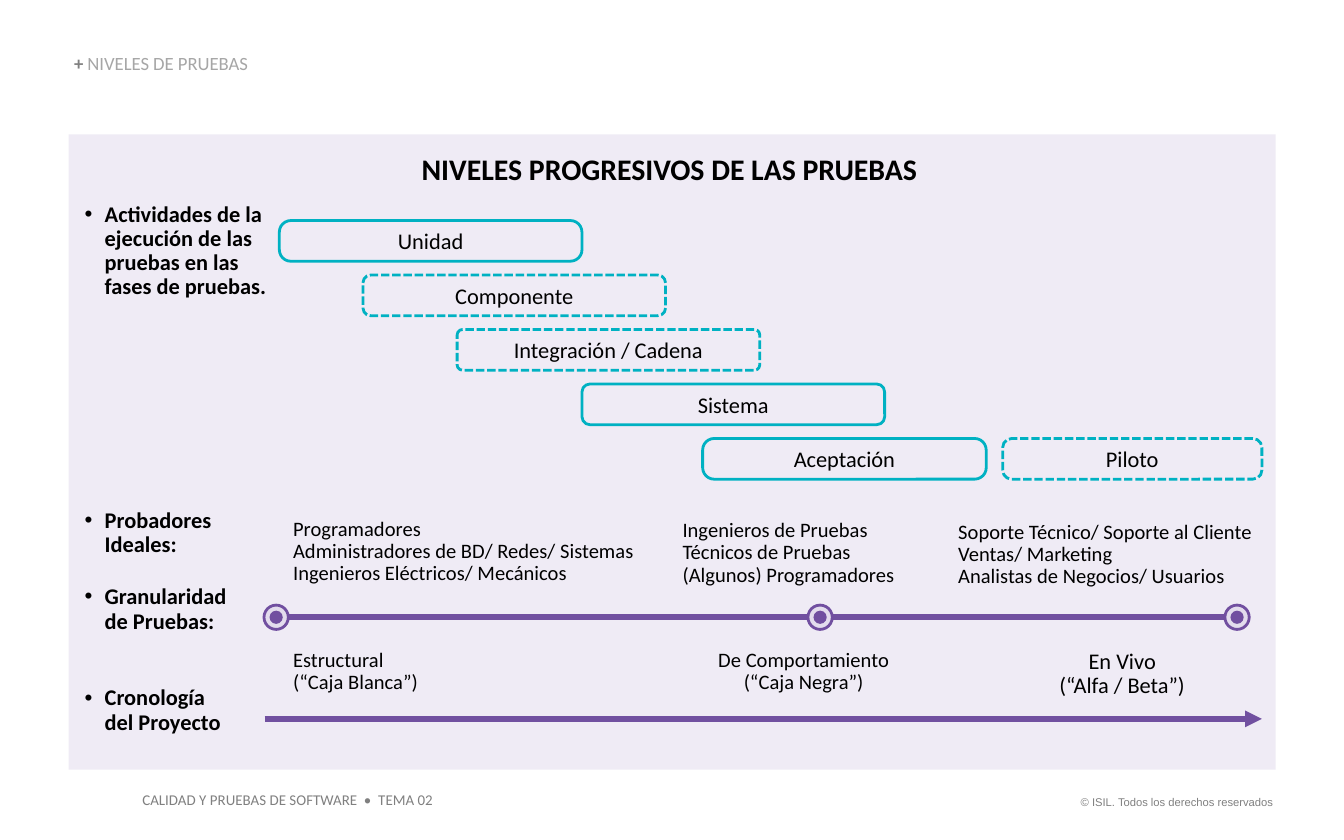
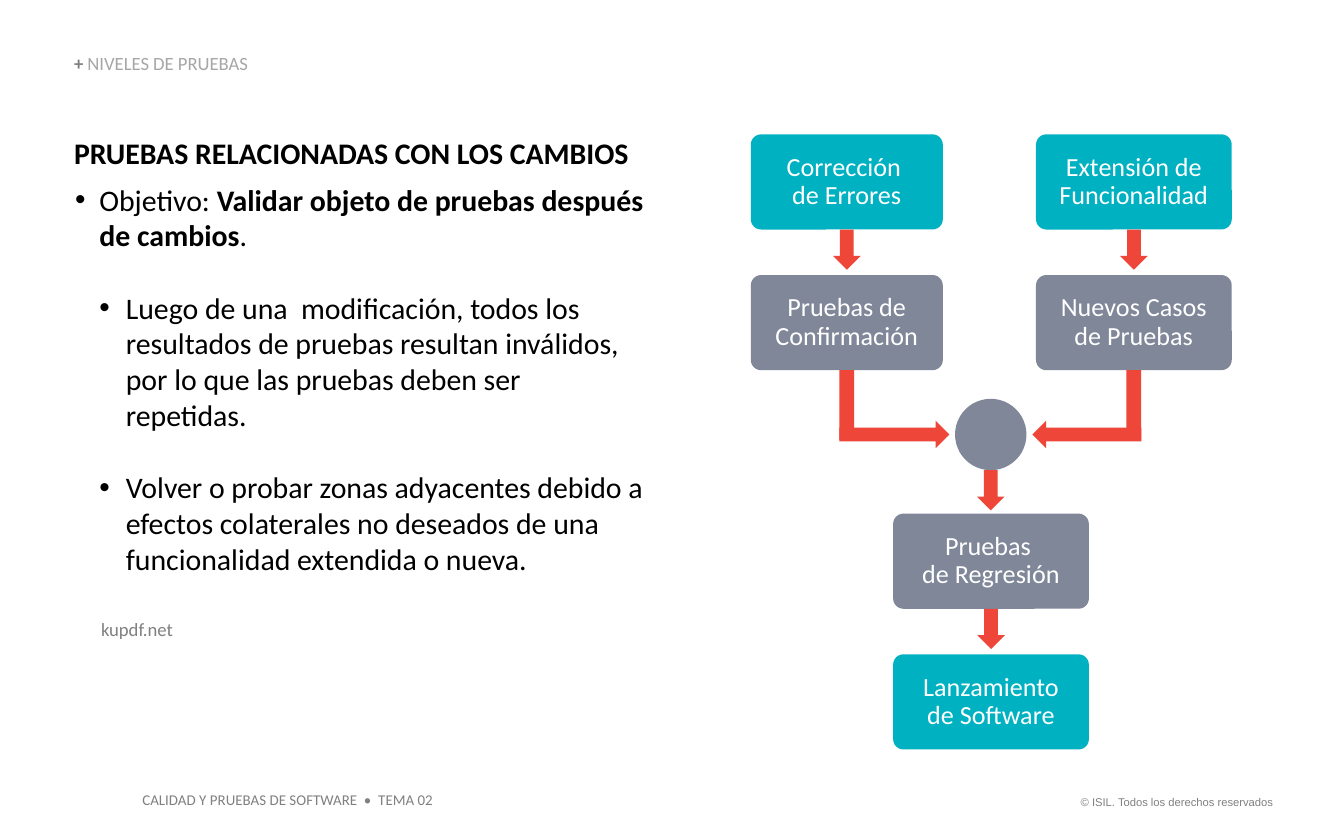
from dataclasses import dataclass, replace
from typing import NamedTuple, Optional

from lxml.etree import SubElement
from pptx import Presentation
from pptx.dml.color import RGBColor
from pptx.enum.dml import MSO_LINE_DASH_STYLE as Dash
from pptx.enum.shapes import MSO_CONNECTOR, MSO_SHAPE as Shp
from pptx.enum.text import MSO_ANCHOR as Anchor, MSO_AUTO_SIZE as Auto, PP_ALIGN as Align
from pptx.oxml.ns import qn
from pptx.util import Cm, Pt

BLACK = RGBColor(0x00, 0x00, 0x00)
WHITE = RGBColor(0xFF, 0xFF, 0xFF)
GRAY = RGBColor(0x80, 0x80, 0x80)
LIGHT_GRAY = RGBColor(0xA6, 0xA6, 0xA6)
LILAC = RGBColor(0xE3, 0xDC, 0xED)
PURPLE = RGBColor(0x71, 0x50, 0xA0)
MARKER_PURPLE = RGBColor(0x71, 0x4F, 0xA0)
TEAL = RGBColor(0x00, 0xB1, 0xC2)
SLATE = RGBColor(0x80, 0x87, 0x99)
RED = RGBColor(0xEE, 0x46, 0x39)


class Box(NamedTuple):
    x: float
    y: float
    w: float
    h: float

    @property
    def mid(self) -> float:
        return self.x + self.w / 2

    @property
    def bottom(self) -> float:
        return self.y + self.h


class Run(NamedTuple):
    text: str
    bold: Optional[bool] = None
    color: Optional[RGBColor] = None


class Bullet(NamedTuple):
    margin: float
    hanging: float


@dataclass(frozen=True)
class Style:
    size: float
    color: RGBColor = BLACK
    bold: bool = False
    align: Align = Align.LEFT
    spacing: Optional[float] = None
    font: str = "Calibri"


class Para(NamedTuple):
    runs: tuple[Run, ...]
    bullet: Optional[Bullet] = None
    before: float = 0
    after: float = 0
    level: int = 0


class Label(NamedTuple):
    box: Box
    lines: tuple[str, ...]
    style: Style
    bullet: Optional[Bullet] = None


class Phase(NamedTuple):
    name: str
    x: float
    w: float
    row: int
    radius: float
    dashed: bool


class Node(NamedTuple):
    box: Box
    lines: tuple[str, ...]
    fill: RGBColor


TITLE = Style(16, bold=True)
BODY = Style(16)
SIDE = Style(12, bold=True, spacing=0.9)
NOTE = Style(11, spacing=0.9)
PHASE = Style(12, align=Align.CENTER)
NODE = Style(14, WHITE, align=Align.CENTER, spacing=0.9)
HEADER = Style(10, LIGHT_GRAY, spacing=0.9)
SIDE_BULLET = Bullet(0.38, 0.38)
BODY_BULLET = Bullet(0.48, 0.46)
SUB_BULLET = Bullet(0.98, 0.5)
BLANK_LINE = 19.5

PHASE_TOP, PHASE_STEP, PHASE_H = 4.17, 1.03, 0.77
PHASES = (
    Phase("Unidad", 5.28, 5.72, 0, 0.285, False),
    Phase("Componente", 6.86, 5.72, 1, 0.194, True),
    Phase("Integración / Cadena", 8.64, 5.72, 2, 0.133, True),
    Phase("Sistema", 11, 5.72, 3, 0.194, False),
    Phase("Aceptación", 13.28, 5.36, 4, 0.285, False),
    Phase("Piloto", 18.95, 4.9, 4, 0.224, True),
)
LABELS = (
    Label(Box(1.3, 2.84, 22.71, 0.69), ("NIVELES PROGRESIVOS DE LAS PRUEBAS",),
          replace(TITLE, align=Align.CENTER)),
    Label(Box(1.6, 3.84, 3.86, 1.85),
          ("Actividades de la ejecución de las pruebas en las fases de pruebas.",), SIDE, SIDE_BULLET),
    Label(Box(1.6, 9.63, 3.68, 0.91), ("Probadores Ideales:",), SIDE, SIDE_BULLET),
    Label(Box(1.6, 11.07, 4.06, 0.91), ("Granularidad \nde Pruebas:",), SIDE, SIDE_BULLET),
    Label(Box(1.6, 12.98, 4.06, 0.91), ("Cronología \ndel Proyecto",), SIDE, SIDE_BULLET),
    Label(Box(5.54, 9.8, 6.96, 1.27),
          ("Programadores", "Administradores de BD/ Redes/ Sistemas Ingenieros Eléctricos/ Mecánicos"), NOTE),
    Label(Box(12.9, 9.83, 4.9, 1.27),
          ("Ingenieros de Pruebas", "Técnicos de Pruebas", "(Algunos) Programadores"), NOTE),
    Label(Box(18.11, 9.86, 6.2, 1.27),
          ("Soporte Técnico/ Soporte al Cliente Ventas/ Marketing", "Analistas de Negocios/ Usuarios"), NOTE),
    Label(Box(5.54, 12.29, 4.06, 0.84), ("Estructural", "(“Caja Blanca”)"), NOTE),
    Label(Box(13.16, 12.29, 4.06, 0.84), ("De Comportamiento", "(“Caja Negra”)"),
          replace(NOTE, align=Align.CENTER)),
    Label(Box(19.18, 12.29, 4.06, 0.91), ("En Vivo", "(“Alfa / Beta”)"),
          replace(NOTE, size=12, align=Align.CENTER)),
)
MARKER_XS, MARKER_Y = (5.22, 15.5, 23.38), 11.67

NODE_H, ROW_PITCH, TOP_ROW, LOW_ROW = 1.8, 2.66, 2.54, 9.71
LEFT_X, LEFT_W, RIGHT_X, CENTER_X, NODE_W = 14.19, 3.63, 19.58, 16.88, 3.7
FIX = Node(Box(LEFT_X, TOP_ROW, LEFT_W, NODE_H), ("Corrección ", "de Errores"), TEAL)
EXTEND = Node(Box(RIGHT_X, TOP_ROW, NODE_W, NODE_H), ("Extensión de Funcionalidad",), TEAL)
CONFIRM = Node(Box(LEFT_X, TOP_ROW + ROW_PITCH, LEFT_W, NODE_H), ("Pruebas de Confirmación",), SLATE)
NEW_CASES = Node(Box(RIGHT_X, TOP_ROW + ROW_PITCH, NODE_W, NODE_H), ("Nuevos Casos de Pruebas",), SLATE)
REGRESSION = Node(Box(CENTER_X, LOW_ROW, NODE_W, NODE_H), ("Pruebas ", "de Regresión"), SLATE)
RELEASE = Node(Box(CENTER_X, LOW_ROW + ROW_PITCH, NODE_W, NODE_H), ("Lanzamiento de Software",), TEAL)
JUNCTION = Box(18.05, 7.54, 1.35, 1.35)
ARROW_W, ARROW_H, SHAFT_W, ELBOW_H, ELBOW_GAP = 0.52, 0.76, 0.28, 1.32, 0.11


def emu(box: Box) -> tuple[Cm, ...]:
    return tuple(Cm(v) for v in box)


def plain(lines: tuple[str, ...], bullet: Optional[Bullet] = None) -> tuple[Para, ...]:
    return tuple(Para((Run(line),), bullet) for line in lines)


def add_bullet(p, bullet: Bullet) -> None:
    pPr = p._p.get_or_add_pPr()
    pPr.set("marL", str(Cm(bullet.margin)))
    pPr.set("indent", str(-Cm(bullet.hanging)))
    color = SubElement(pPr, qn("a:buClr"))
    SubElement(color, qn("a:srgbClr"), val=str(BLACK))
    SubElement(pPr, qn("a:buFont"), typeface="Arial")
    SubElement(pPr, qn("a:buChar"), char="•")


def write(tf, paras: tuple[Para, ...], style: Style) -> None:
    for i, para in enumerate(paras):
        p = tf.paragraphs[0] if i == 0 else tf.add_paragraph()
        p.text = "".join(run.text for run in para.runs) if len(para.runs) == 1 else ""
        if len(para.runs) > 1:
            for run in para.runs:
                p.add_run().text = run.text
        if para.bullet:
            add_bullet(p, para.bullet)
        p.level, p.alignment = para.level, style.align
        p.space_before, p.space_after = Pt(para.before), Pt(para.after)
        if style.spacing:
            p.line_spacing = style.spacing
        for br in p._p.findall(qn("a:br")):
            SubElement(br, qn("a:rPr"), sz=str(int(style.size * 100)))
        sources = para.runs if len(para.runs) > 1 else para.runs * len(p.runs)
        for r, run in zip(p.runs, sources):
            r.font.name, r.font.size = style.font, Pt(style.size)
            r.font.bold = style.bold if run.bold is None else run.bold
            r.font.color.rgb = run.color or style.color


def add_text(s, box: Box, paras: tuple[Para, ...], style: Style,
             anchor: Anchor = Anchor.TOP, tight: bool = True) -> None:
    tf = s.shapes.add_textbox(*emu(box)).text_frame
    tf.word_wrap, tf.auto_size, tf.vertical_anchor = tight, Auto.SHAPE_TO_FIT_TEXT, anchor
    if tight:
        tf.margin_left = tf.margin_top = tf.margin_right = tf.margin_bottom = 0
    write(tf, paras, style)


def add_shape(shapes, kind: Shp, box: Box, fill: Optional[RGBColor] = None,
              line: Optional[RGBColor] = None, radius: Optional[float] = None):
    sp = shapes.add_shape(kind, *emu(box))
    sp.shadow.inherit = False
    if fill is None:
        sp.fill.background()
    else:
        sp.fill.solid()
        sp.fill.fore_color.rgb = fill
    if line is None:
        sp.line.fill.background()
    else:
        sp.line.color.rgb, sp.line.width = line, Pt(1.5)
    if radius is not None:
        sp.adjustments[0] = radius
    return sp


def fill_shape_text(sp, lines: tuple[str, ...], style: Style) -> None:
    tf = sp.text_frame
    tf.word_wrap, tf.vertical_anchor = True, Anchor.MIDDLE
    write(tf, plain(lines), style)


def add_line(s, x1: float, x2: float, y: float, arrow: bool = False) -> None:
    c = s.shapes.add_connector(MSO_CONNECTOR.STRAIGHT, Cm(x1), Cm(y), Cm(x2), Cm(y))
    c.line.color.rgb, c.line.width = PURPLE, Pt(3)
    if arrow:
        SubElement(c.line._get_or_add_ln(), qn("a:tailEnd"), type="triangle")
    SubElement(c._element.spPr, qn("a:effectLst"))


def add_marker(s, x: float) -> None:
    group = s.shapes.add_group_shape()
    for size, fill, line in ((0.46, LILAC, MARKER_PURPLE), (0.25, MARKER_PURPLE, None)):
        add_shape(group.shapes, Shp.OVAL, Box(x - size / 2, MARKER_Y - size / 2, size, size), fill, line)


def add_down_arrow(shapes, source: Box) -> None:
    add_shape(shapes, Shp.DOWN_ARROW, Box(source.mid - ARROW_W / 2, source.bottom, ARROW_W, ARROW_H), RED)


def add_elbow(shapes, source: Box) -> None:
    add_shape(shapes, Shp.RECTANGLE, Box(source.mid - SHAFT_W / 2, source.bottom, SHAFT_W, ELBOW_H), RED)
    top = JUNCTION.y + (JUNCTION.h - ARROW_W) / 2
    if source.mid < JUNCTION.mid:
        kind, start, end = Shp.RIGHT_ARROW, source.mid - SHAFT_W / 2, JUNCTION.x - ELBOW_GAP
    else:
        kind, start, end = Shp.LEFT_ARROW, JUNCTION.x + JUNCTION.w + ELBOW_GAP, source.mid + SHAFT_W / 2
    add_shape(shapes, kind, Box(start, top, end - start, ARROW_W), RED)


def new_slide(prs):
    s = prs.slides.add_slide(prs.slide_layouts[6])
    add_text(s, Box(20.02, 14.91, 4.29, 0.51), plain(("© ISIL. Todos los derechos reservados",)),
             Style(6, GRAY, align=Align.RIGHT, font="Arial"), tight=False)
    add_text(s, Box(2.44, 14.83, 6.02, 0.61), plain(("CALIDAD Y PRUEBAS DE SOFTWARE  •  TEMA 02",)),
             Style(8, GRAY), tight=False)
    header = Para((Run("+ ", True, GRAY), Run("NIVELES DE PRUEBAS")))
    add_text(s, Box(1.4, 1.04, 9.17, 0.38), (header,), HEADER, Anchor.BOTTOM)
    return s


def build_levels(prs) -> None:
    s = new_slide(prs)
    panel = add_shape(s.shapes, Shp.RECTANGLE, Box(1.3, 2.54, 22.81, 12.01), LILAC)
    SubElement(panel._element.spPr.find(".//" + qn("a:srgbClr")), qn("a:alpha"), val="55000")
    for phase in PHASES:
        box = Box(phase.x, PHASE_TOP + phase.row * PHASE_STEP, phase.w, PHASE_H)
        sp = add_shape(s.shapes, Shp.ROUNDED_RECTANGLE, box, line=TEAL, radius=phase.radius)
        if phase.dashed:
            sp.line.dash_style = Dash.SQUARE_DOT
        fill_shape_text(sp, (phase.name,), PHASE)
    for label in LABELS:
        add_text(s, label.box, plain(label.lines, label.bullet), label.style)
    add_line(s, 5.28, 23.44, 11.66)
    add_line(s, 5, 23.85, 13.59, arrow=True)
    for x in MARKER_XS:
        add_marker(s, x)


def build_changes(prs) -> None:
    s = new_slide(prs)
    add_text(s, Box(1.4, 2.54, 10.82, 8.43), (
        Para((Run("PRUEBAS RELACIONADAS CON LOS CAMBIOS", True),), after=6),
        Para((Run("Objetivo: "), Run("Validar objeto de pruebas después de cambios", True), Run(".")),
             BODY_BULLET),
        Para((Run("Luego de una  modificación, todos los resultados de pruebas resultan inválidos, "
                  "por lo que las pruebas deben ser repetidas."),), SUB_BULLET, BLANK_LINE, level=1),
        Para((Run("Volver o probar zonas adyacentes debido a efectos colaterales no deseados de una "
                  "funcionalidad extendida o nueva."),), SUB_BULLET, BLANK_LINE, level=1),
    ), BODY)
    add_text(s, Box(1.91, 11.68, 2.92, 0.43), plain(("kupdf.net",)), Style(10, GRAY))
    flow = s.shapes.add_group_shape().shapes
    for node in (FIX, EXTEND, CONFIRM, NEW_CASES, REGRESSION, RELEASE):
        sp = add_shape(flow, Shp.ROUNDED_RECTANGLE, node.box, node.fill, radius=0.109)
        fill_shape_text(sp, node.lines, NODE)
    add_shape(flow, Shp.OVAL, JUNCTION, SLATE)
    for source in (FIX.box, EXTEND.box, REGRESSION.box, JUNCTION):
        add_down_arrow(flow, source)
    for source in (CONFIRM.box, NEW_CASES.box):
        add_elbow(flow, source)


def main() -> None:
    prs = Presentation()
    prs.slide_width, prs.slide_height = Cm(25.4), Cm(15.88)
    build_levels(prs)
    build_changes(prs)
    prs.save("out.pptx")


if __name__ == "__main__":
    main()
